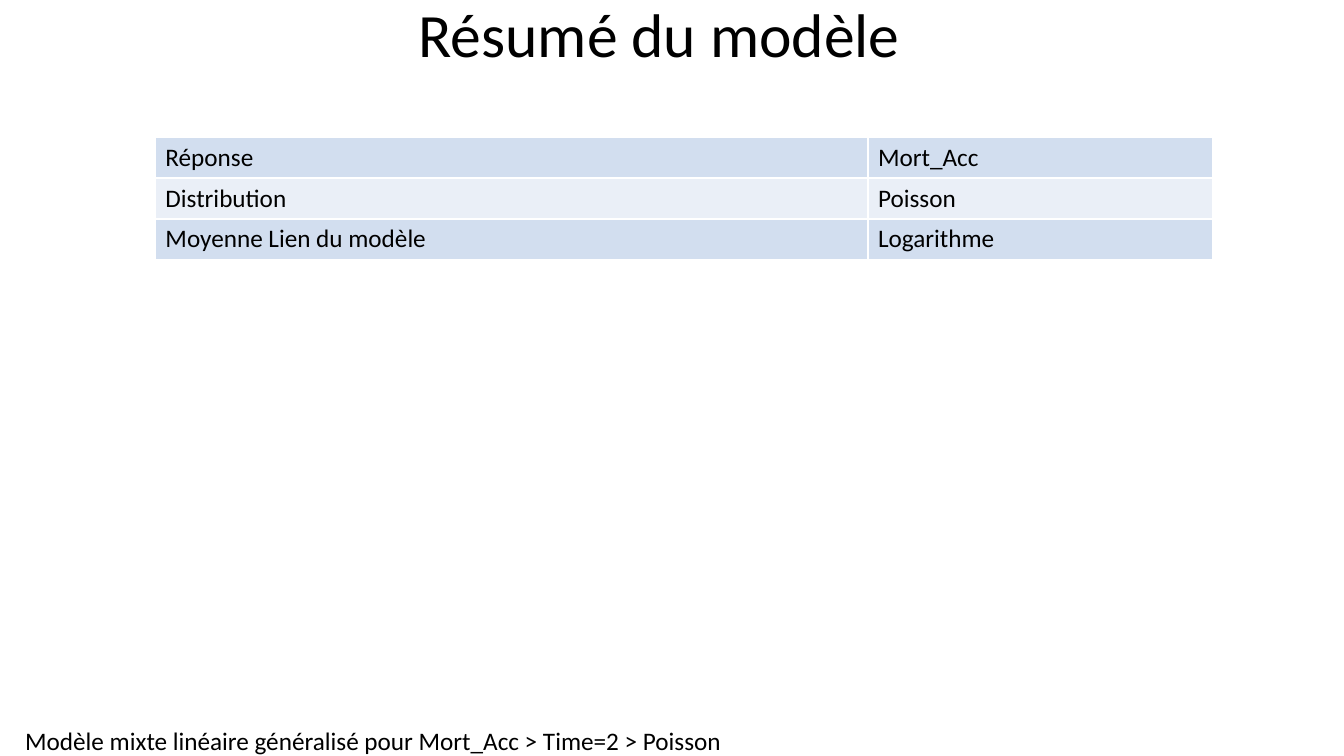
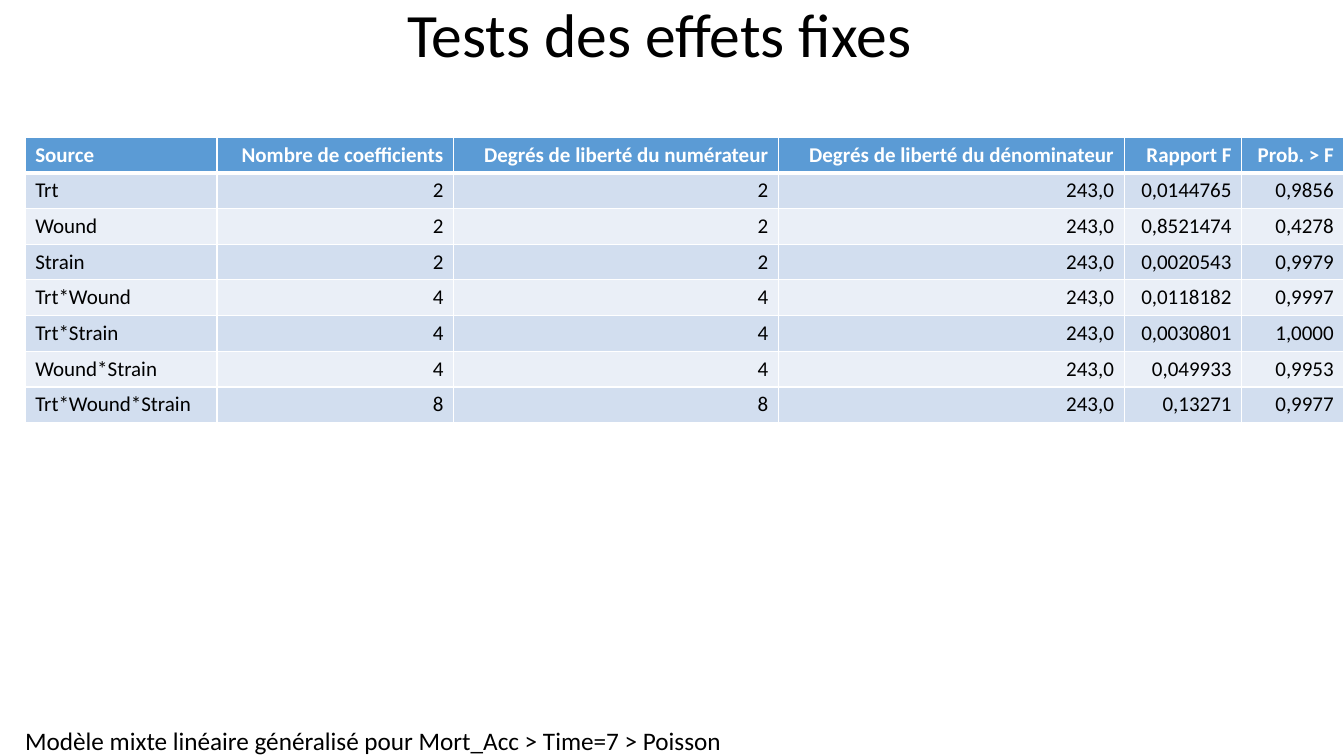
from lxml.etree import SubElement
from pptx import Presentation
from pptx.dml.color import RGBColor
from pptx.enum.text import MSO_ANCHOR as Anchor, MSO_AUTO_SIZE as AutoSize, PP_ALIGN as Align
from pptx.oxml.ns import qn
from pptx.util import Pt

BLACK = RGBColor(0x00, 0x00, 0x00)
WHITE = RGBColor(0xFF, 0xFF, 0xFF)
HEADER_BLUE = RGBColor(0x5B, 0x9B, 0xD5)
BANDS = (RGBColor(0xD2, 0xDE, 0xEF), RGBColor(0xEA, 0xEF, 0xF7))

PAGE_WIDTH, PAGE_HEIGHT = 960, 540
MARGIN = 18
TABLE_TOP = 98
FOOTER_HEIGHT = 22

MODEL_ROWS = [
    ("Réponse", "Mort_Acc"),
    ("Distribution", "Poisson"),
    ("Moyenne Lien du modèle", "Logarithme"),
]
EFFECT_ROWS = [
    ("Source", "Nombre de coefficients", "Degrés de liberté du numérateur",
     "Degrés de liberté du dénominateur", "Rapport F", "Prob. > F"),
    ("Trt", "2", "2", "243,0", "0,0144765", "0,9856"),
    ("Wound", "2", "2", "243,0", "0,8521474", "0,4278"),
    ("Strain", "2", "2", "243,0", "0,0020543", "0,9979"),
    ("Trt*Wound", "4", "4", "243,0", "0,0118182", "0,9997"),
    ("Trt*Strain", "4", "4", "243,0", "0,0030801", "1,0000"),
    ("Wound*Strain", "4", "4", "243,0", "0,049933", "0,9953"),
    ("Trt*Wound*Strain", "8", "8", "243,0", "0,13271", "0,9977"),
]


class Report:
    font_name = "Calibri"

    def __init__(self):
        self.deck = Presentation()
        self.deck.slide_width = Pt(PAGE_WIDTH)
        self.deck.slide_height = Pt(PAGE_HEIGHT)
        self.page = None

    def add_page(self, title, footer):
        self.page = self.deck.slides.add_slide(self.deck.slide_layouts[6])
        self.add_footer(footer)
        self.add_title(title)

    def set_text(self, para, text, size, color=BLACK, bold=False, align=Align.LEFT):
        para.text = text
        para.alignment = align
        font = para.font
        font.name, font.size, font.bold = self.font_name, Pt(size), bold
        font.color.rgb = color

    def add_title(self, text):
        box = self.page.shapes.add_textbox(0, 0, Pt(PAGE_WIDTH - MARGIN), Pt(54))
        frame = box.text_frame
        frame.word_wrap = True
        frame.vertical_anchor = Anchor.MIDDLE
        para = frame.paragraphs[0]
        self.set_text(para, text, 44, align=Align.CENTER)
        para.line_spacing = 0.9

    def add_footer(self, text):
        box = self.page.shapes.add_textbox(
            Pt(MARGIN), Pt(PAGE_HEIGHT - FOOTER_HEIGHT), Pt(499), Pt(FOOTER_HEIGHT))
        frame = box.text_frame
        frame.margin_left = frame.margin_right = frame.margin_top = frame.margin_bottom = 0
        frame.word_wrap = False
        frame.auto_size = AutoSize.SHAPE_TO_FIT_TEXT
        self.set_text(frame.paragraphs[0], text, 18)

    def add_borders(self, cell, top, bottom):
        """Draw white cell edges; top and bottom are line widths in points."""
        properties = cell._tc.get_or_add_tcPr()
        for edge, width in (("lnL", 1), ("lnR", 1), ("lnT", top), ("lnB", bottom)):
            line = SubElement(properties, qn(f"a:{edge}"), w=str(Pt(width)))
            fill = SubElement(line, qn("a:solidFill"))
            SubElement(fill, qn("a:srgbClr"), val=str(WHITE))

    def add_table(self, rows, left, widths, row_height, size, header=False, number_align=Align.LEFT):
        """Add a banded table whose columns after the first use number_align."""
        table = self.page.shapes.add_table(
            len(rows), len(widths), Pt(left), Pt(TABLE_TOP),
            Pt(sum(widths)), Pt(row_height * len(rows))).table
        table.first_row = header
        for column, width in zip(table.columns, widths):
            column.width = Pt(width)
        for row_index, values in enumerate(rows):
            table.rows[row_index].height = Pt(row_height)
            is_header = header and row_index == 0
            fill = HEADER_BLUE if is_header else BANDS[(row_index - header) % 2]
            top = 3 if header and row_index == 1 else 1
            for column_index, text in enumerate(values):
                cell = table.cell(row_index, column_index)
                self.add_borders(cell, top, 3 if is_header else 1)
                cell.fill.solid()
                cell.fill.fore_color.rgb = fill
                self.set_text(cell.text_frame.paragraphs[0], text, size,
                              WHITE if is_header else BLACK, is_header,
                              number_align if column_index else Align.LEFT)


def main():
    report = Report()
    report.add_page("Résumé du modèle",
                    "Modèle mixte linéaire généralisé pour Mort_Acc > Time=2 > Poisson")
    report.add_table(MODEL_ROWS, 111, (509, 246), 29.2, 18)

    report.add_page("Tests des effets fixes",
                    "Modèle mixte linéaire généralisé pour Mort_Acc > Time=7 > Poisson")
    report.add_table(EFFECT_ROWS, MARGIN, (137, 169, 232, 247, 84, 73), 25.5, 15,
                     header=True, number_align=Align.RIGHT)
    report.deck.save("out.pptx")


if __name__ == "__main__":
    main()
